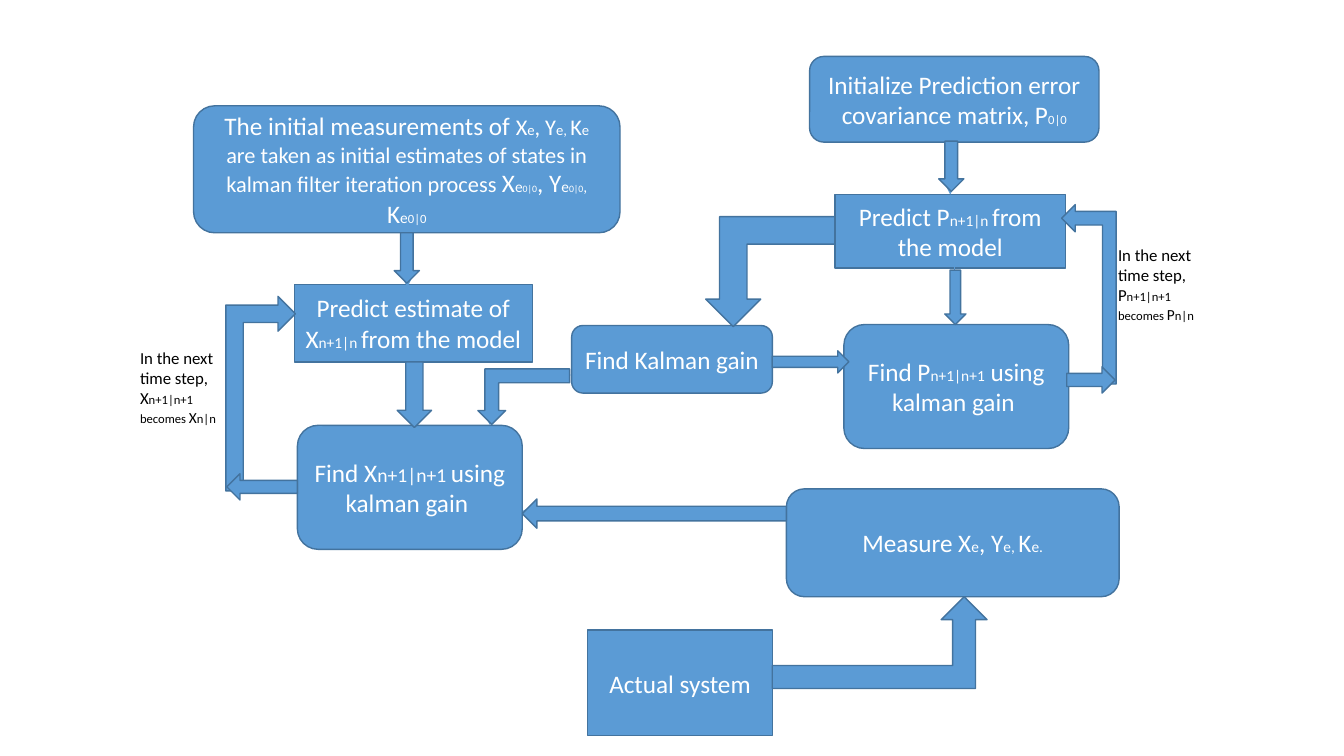
from lxml.etree import SubElement
from pptx import Presentation
from pptx.dml.color import RGBColor
from pptx.enum.shapes import MSO_CONNECTOR as Connector, MSO_SHAPE as Shape
from pptx.enum.text import MSO_ANCHOR as Anchor, MSO_AUTO_SIZE as AutoSize, PP_ALIGN as Align
from pptx.oxml.ns import qn
from pptx.util import Inches, Pt

TOP, LEFT, BOTTOM, RIGHT = range(4)


def colour(code):
    return RGBColor.from_string(code)


class FlowChart:
    """Style and current slide; lengths are columns and rows of a 0.1 inch grid."""
    cell = Inches(0.1)
    font = "Calibri"
    fill, edge, light, dark = "5B9BD5", "43739E", "FFFFFF", "000000"

    def __init__(self, page):
        self.page = page

    def grid(self, *lengths):
        return [round(length * self.cell) for length in lengths]

    def add_spans(self, frame, spans, ink, align):
        frame.word_wrap = True
        para = frame.paragraphs[0]
        para.alignment = align
        for text, size in spans:
            span = para.add_run()
            span.text = text
            span.font.name = self.font
            span.font.size = Pt(size)
            span.font.color.rgb = colour(ink)

    def block(self, kind, place):
        shape = self.page.shapes.add_shape(kind, *self.grid(*place))
        shape.shadow.inherit = False
        shape.fill.solid()
        shape.fill.fore_color.rgb = colour(self.fill)
        shape.line.color.rgb = colour(self.edge)
        shape.line.width = Pt(1)
        return shape

    def box(self, kind, place, *spans):
        box = self.block(kind, place)
        box.text_frame.vertical_anchor = Anchor.MIDDLE
        self.add_spans(box.text_frame, spans, self.light, Align.CENTER)
        return box

    def note(self, place, *spans):
        note = self.page.shapes.add_textbox(*self.grid(*place))
        self.add_spans(note.text_frame, spans, self.dark, Align.LEFT)
        note.text_frame.auto_size = AutoSize.SHAPE_TO_FIT_TEXT

    def line(self, start, end, source=None, target=None):
        line = self.page.shapes.add_connector(Connector.STRAIGHT, *self.grid(*start, *end))
        if source:
            line.begin_connect(*source)
        if target:
            line.end_connect(*target)
        line.line.color.rgb = colour(self.fill)
        line.line.width = Pt(0.5)
        properties = line._element.spPr
        SubElement(properties.find(qn("a:ln")), qn("a:tailEnd"), type="triangle")
        SubElement(properties, qn("a:effectLst"))

    def arrow(self, kind, place, turn=0, flips=""):
        arrow = self.block(kind, place)
        arrow.rotation = turn
        for axis in flips:
            arrow._element.spPr.find(qn("a:xfrm")).set("flip" + axis, "1")


def main():
    deck = Presentation()
    deck.slide_width, deck.slide_height = Inches(13.33), Inches(7.5)
    chart = FlowChart(deck.slides.add_slide(deck.slide_layouts[6]))

    # State estimate: start, prediction, update
    initial_state = chart.box(
        Shape.FLOWCHART_ALTERNATE_PROCESS, (19.2, 10.5, 42.3, 12.6),
        ("The initial measurements of ", 18), ("X", 16), ("e", 10.5), (", Y", 16),
        ("e, ", 10.5), ("K", 16), ("e", 10.5),
        (" are taken as initial estimates of states in kalman filter iteration process ", 16),
        ("X", 18), ("e", 11), ("0|0", 7), (", Y", 18), ("e", 11), ("0|0", 7),
        (", ", 11), ("K", 18), ("e", 11), ("0|0", 9))
    predict_state = chart.box(
        Shape.RECTANGLE, (29.2, 28.2, 23.6, 7.7),
        ("Predict estimate of X", 18), ("n+1|n ", 11), ("from the model", 18))
    chart.box(Shape.ROUNDED_RECTANGLE, (29.5, 42.2, 22.3, 12.3),
              ("Find X", 18), ("n+1|n+1 ", 14), ("using kalman gain ", 18))

    # Error covariance: start, prediction, update
    chart.box(Shape.ROUNDED_RECTANGLE, (80.3, 5.6, 28.7, 8.5),
              ("Initialize Prediction error covariance matrix, P", 18), ("0|0", 9))
    predict_error = chart.box(
        Shape.RECTANGLE, (82.8, 19.3, 22.9, 7.3),
        ("Predict P", 18), ("n+1|n ", 11), ("from the model", 18))
    chart.box(Shape.ROUNDED_RECTANGLE, (83.7, 32.2, 22.3, 12.3),
              ("Find P", 18), ("n+1|n+1", 11), (" using kalman gain ", 18))

    # Gain, measurement and system
    gain = chart.box(Shape.ROUNDED_RECTANGLE, (56.7, 32.3, 19.9, 6.7),
                     ("Find Kalman gain", 18))
    chart.box(Shape.FLOWCHART_ALTERNATE_PROCESS, (78, 48.5, 33, 10.7),
              ("Measure X", 18), ("e", 11), (", Y", 18), ("e, ", 11), ("K", 18), ("e.", 11))
    system = chart.box(Shape.RECTANGLE, (58.3, 62.5, 18.3, 10.5), ("Actual system", 18))

    # Notes on the two feedback loops
    for letter, place in (("X", (12.9, 34, 10.9, 8.8)), ("P", (109.9, 23.8, 10.9, 8.9))):
        chart.note(place, ("In the next time step, " + letter, 12),
                   ("n+1|n+1 becomes ", 9), (letter, 11), ("n|n", 9))

    # Thin arrows along the flow
    chart.line((40.3, 23.1), (40.4, 28.5), source=(initial_state, BOTTOM))
    chart.line((41, 35.9), (41, 42.2), source=(predict_state, BOTTOM))
    chart.line((94.2, 14), (94.3, 19.3), target=(predict_error, TOP))
    chart.line((94.7, 26.5), (94.7, 31.9))
    chart.line((76.6, 35.9), (83.7, 35.9), source=(gain, RIGHT))
    chart.line((56.6, 37.2), (48.5, 37.1))
    chart.line((48.5, 37.1), (48.6, 42.2))
    chart.line((78, 50.7), (51.8, 50.7))
    chart.line((76.6, 67.7), (95.8, 67.7), source=(system, RIGHT))
    chart.line((95.8, 67.7), (95.8, 59.2))

    # Straight block arrows
    for place in ((39.4, 35.9, 3.4, 6.5), (39.1, 23.1, 2.5, 5),
                  (93.1, 14, 2.5, 5), (93.7, 26.8, 2.1, 5.4)):
        chart.arrow(Shape.DOWN_ARROW, place)
    chart.arrow(Shape.LEFT_ARROW, (51.8, 49.5, 26.2, 2.9))
    chart.arrow(Shape.RIGHT_ARROW, (76.6, 34.8, 7.6, 2.2))

    # Bent block arrows from the covariance, the gain and the system
    for place in ((70, 21.5, 12.8, 10.9), (47.4, 36.6, 9.1, 5.5)):
        chart.arrow(Shape.BENT_UP_ARROW, place, flips="HV")
    chart.arrow(Shape.BENT_UP_ARROW, (76.6, 59.2, 21.3, 9.1))

    # Feedback loops
    chart.arrow(Shape.BENT_UP_ARROW, (16.2, 35.6, 19.3, 6.9), turn=90, flips="H")
    chart.arrow(Shape.BENT_UP_ARROW, (99.1, 26.5, 17.8, 5.4), turn=270)
    chart.arrow(Shape.RIGHT_ARROW, (105.8, 36.4, 4.8, 2.6))
    chart.arrow(Shape.RIGHT_ARROW, (22.5, 47, 7, 2.6), turn=180)

    deck.save("out.pptx")


if __name__ == "__main__":
    main()
